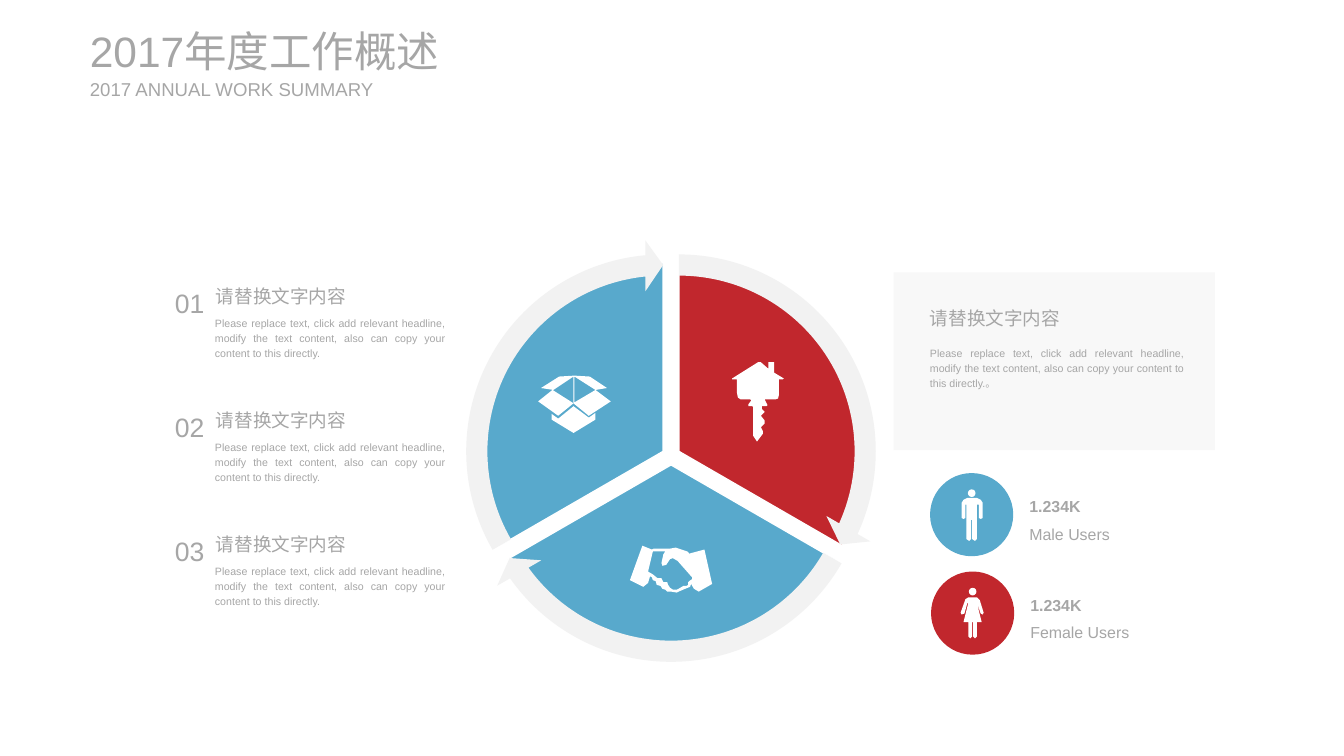
"""Build the annual work summary slide: a three-part cycle, numbered notes and user figures."""
import math
from dataclasses import dataclass

from lxml import etree
from pptx import Presentation
from pptx import util as u
from pptx.dml.color import RGBColor
from pptx.enum import shapes, text
from pptx.oxml import ns

CELL = u.Inches(0.1)
COLUMNS, ROWS = 140.6, 79.1

BLUE = RGBColor(0x58, 0xA9, 0xCC)
RED = RGBColor(0xC1, 0x27, 0x2D)
PALE = RGBColor(0xF2, 0xF2, 0xF2)
GREY = RGBColor(0xA6, 0xA6, 0xA6)
WHITE = RGBColor(0xFF, 0xFF, 0xFF)

LEFT, JUSTIFY = text.PP_ALIGN.LEFT, text.PP_ALIGN.JUSTIFY
HEADLINE = "请替换文字内容"
ADVICE = ("Please replace text, click add relevant headline, modify the text content, "
          "also can copy your content to this directly.")

Outline = list[tuple[int, int]]

HANDS: Outline = [
    (737, 575), (722, 579), (722, 580), (719, 577), (707, 573), (701, 574), (684, 574),
    (682, 575), (672, 571), (659, 607), (673, 614), (678, 610), (680, 603), (682, 604),
    (683, 607), (686, 608), (687, 612), (691, 613), (693, 616), (696, 617), (698, 619),
    (702, 619), (708, 620), (710, 619), (717, 616), (722, 614), (723, 611), (726, 616),
    (731, 619), (745, 611)]
CLASP: Outline = [
    (721, 608), (720, 609), (720, 612), (718, 613), (715, 613), (710, 616), (708, 617),
    (704, 617), (701, 615), (699, 612), (698, 609), (694, 609), (692, 605), (688, 605),
    (683, 601), (678, 598), (683, 577), (696, 577), (694, 580), (692, 589), (693, 592),
    (697, 591), (701, 585), (704, 584), (709, 587), (724, 604), (724, 606)]
BOX_LID: Outline = [
    (600, 422), (616, 435), (639, 420), (623, 408), (601, 421), (601, 394), (623, 408),
    (635, 406), (617, 394), (601, 393), (585, 394), (566, 406), (579, 408), (600, 394)]
BOX_FLAP: Outline = [(563, 420), (584, 435), (600, 422), (578, 408)]
BOX_BASE: Outline = [(600, 425), (584, 438), (577, 433), (577, 439), (600, 453),
                     (623, 439), (623, 432), (616, 437)]
HOUSE_KEY: Outline = [
    (771, 411), (771, 397), (766, 397), (766, 396), (793, 379), (796, 379), (804, 386),
    (804, 379), (810, 379), (810, 390), (820, 396), (819, 397), (815, 397), (815, 413),
    (814, 417), (811, 418), (800, 418), (803, 424), (802, 425), (797, 425), (797, 428),
    (800, 431), (796, 435), (800, 440), (800, 443), (796, 447), (798, 451), (798, 454),
    (792, 462), (788, 456), (788, 426), (787, 425), (783, 425), (783, 423), (786, 419),
    (785, 418), (775, 418), (772, 416)]
MAN: Outline = [
    (1022, 521), (1012, 521), (1008, 523), (1006, 526), (1006, 542), (1008, 543),
    (1010, 542), (1010, 528), (1011, 528), (1011, 564), (1014, 566), (1016, 564),
    (1016, 544), (1017, 544), (1017, 564), (1020, 566), (1022, 564), (1022, 528),
    (1024, 528), (1024, 542), (1026, 543), (1028, 542), (1028, 526), (1026, 523)]
WOMAN: Outline = [
    (1029, 641), (1025, 628), (1022, 625), (1013, 625), (1010, 627), (1005, 641),
    (1006, 643), (1009, 642), (1012, 631), (1013, 631), (1008, 651), (1013, 651),
    (1013, 666), (1015, 668), (1017, 666), (1017, 651), (1018, 651), (1018, 666),
    (1020, 668), (1022, 666), (1022, 651), (1027, 651), (1022, 631), (1026, 642),
    (1028, 643)]


@dataclass(frozen=True)
class Area:
    """A block of the grid, in columns and rows."""
    column: float
    row: float
    width: float
    height: float

    def lengths(self) -> list[u.Emu]:
        """Return left, top, width and height."""
        return [u.Emu(round(n * CELL)) for n in (self.column, self.row, self.width, self.height)]


@dataclass(frozen=True)
class Style:
    """The look of one paragraph."""
    size: int
    bold: bool = False
    align: text.PP_ALIGN = LEFT
    wrap: bool = False
    spacing: float = 1.2


@dataclass(frozen=True)
class Users:
    """One group of users with its badge and figure."""
    label: str
    count: str
    color: RGBColor
    figure: Outline
    column: float
    row: float
    label_width: float


HEADING = Style(14)
NUMBER = Style(20, align=JUSTIFY)
BODY = Style(8, align=JUSTIFY, wrap=True)
COUNT = Style(12, bold=True)
LABEL = Style(12)

USERS = [Users("Male Users", "1.234K", BLUE, MAN, 97.3, 49.5, 10.5),
         Users("Female Users", "1.234K", RED, WOMAN, 97.4, 59.8, 12.5)]


def write(frame, words: str, style: Style) -> None:
    """Fill a text frame with one styled paragraph."""
    frame.word_wrap = style.wrap
    line = frame.paragraphs[0]
    line.text = words
    line.alignment, line.line_spacing = style.align, style.spacing
    line.space_before = u.Pt(0)
    line.font.name, line.font.size, line.font.bold = "Arial", u.Pt(style.size), style.bold
    line.font.color.rgb = GREY


def add_text(slide, area: Area, words: str, style: Style) -> None:
    """Add a text box that grows with its text."""
    frame = slide.shapes.add_textbox(*area.lengths()).text_frame
    write(frame, words, style)
    frame.auto_size = text.MSO_AUTO_SIZE.SHAPE_TO_FIT_TEXT


def fill_heading(placeholder, area: Area, words: str, size: int) -> None:
    """Move a heading placeholder and fill it."""
    placeholder.left, placeholder.top, placeholder.width, placeholder.height = area.lengths()
    frame = placeholder.text_frame
    write(frame, words, Style(size, wrap=True, spacing=1.0))
    frame.auto_size = text.MSO_AUTO_SIZE.NONE
    frame.vertical_anchor = text.MSO_ANCHOR.MIDDLE
    frame.margin_left = frame.margin_right = frame.margin_top = frame.margin_bottom = 0


def paint(shape, color: RGBColor):
    """Give a shape a plain fill without line or shadow."""
    shape.shadow.inherit = False
    shape.fill.solid()
    shape.fill.fore_color.rgb = color
    shape.line.fill.background()
    return shape


def add_preset(slide, kind: shapes.MSO_SHAPE, area: Area, color: RGBColor):
    """Add a plain preset shape."""
    return paint(slide.shapes.add_shape(kind, *area.lengths()), color)


def add_icon(slide, *outlines: Outline) -> None:
    """Add a white icon from outlines in tenths of a cell."""
    first, *holes = outlines
    builder = slide.shapes.build_freeform(*first[0], scale=CELL / 10)
    builder.add_line_segments(first[1:])
    for hole in holes:
        builder.move_to(*hole[0])
        builder.add_line_segments(hole[1:])
    paint(builder.convert_to_shape(), WHITE)


def add_cycle_part(slide, kind: shapes.MSO_SHAPE, turn: int, size: float, color: RGBColor):
    """Add one third of the cycle, pushed outwards from its centre."""
    middle = math.radians(120 * turn - 30)
    column = 70.2 + 0.95 * math.cos(middle) - size / 2
    row = 47.7 + 0.95 * math.sin(middle) - size / 2
    return add_preset(slide, kind, Area(column, row, size, size), color)


def add_cycle(slide) -> None:
    """Draw the three sectors, the arrows around them and their icons."""
    for turn, color in enumerate((RED, BLUE, BLUE)):
        sector = add_cycle_part(slide, shapes.MSO_SHAPE.PIE, turn, 39.4, color)
        for index, angle in enumerate((270, 30)):
            sector.adjustments[index] = (angle + 120 * turn) % 360 * 0.6
        sector.line.color.rgb, sector.line.width = WHITE, u.Pt(1)
    for turn in range(3):
        arrow = add_cycle_part(slide, shapes.MSO_SHAPE.CIRCULAR_ARROW, turn, 44.3, PALE)
        tip, tail = [(angle + 120 * turn) % 360 * 0.6 for angle in (24.54, 270)]
        for index, value in enumerate((0.05, 3.28, tip, tail, 0.06)):
            arrow.adjustments[index] = value
    add_icon(slide, HANDS, CLASP)
    for outline in (BOX_LID, BOX_FLAP, BOX_BASE, HOUSE_KEY):
        add_icon(slide, outline)


def add_panel(slide) -> None:
    """Draw the half-transparent panel with its note."""
    panel = add_preset(slide, shapes.MSO_SHAPE.RECTANGLE, Area(93.5, 28.5, 33.6, 18.6), PALE)
    tint = panel.element.spPr.find(".//" + ns.qn("a:srgbClr"))
    etree.SubElement(tint, ns.qn("a:alpha"), val="50000")
    add_text(slide, Area(96.3, 31.2, 16.3, 3.6), HEADLINE, HEADING)
    add_text(slide, Area(96.3, 35.5, 28.6, 5.9), ADVICE + "。", BODY)


def add_users(slide, users: Users) -> None:
    """Draw a badge with its figure, count and label."""
    column, row = users.column, users.row
    add_preset(slide, shapes.MSO_SHAPE.OVAL, Area(column, row, 8.7, 8.7), users.color)
    add_preset(slide, shapes.MSO_SHAPE.OVAL, Area(column + 3.95, row + 1.7, 0.8, 0.8), WHITE)
    add_icon(slide, users.figure)
    add_text(slide, Area(column + 9.4, row + 1.6, 7.4, 3.2), users.count, COUNT)
    add_text(slide, Area(column + 9.4, row + 4.5, users.label_width, 3.2), users.label, LABEL)


def main() -> None:
    """Build and save the slide."""
    deck = Presentation()
    deck.slide_width, deck.slide_height = round(COLUMNS * CELL), round(ROWS * CELL)
    slide = deck.slides.add_slide(deck.slide_layouts[0])
    title, subtitle = slide.placeholders
    fill_heading(title, Area(9.4, 2.6, 43.2, 5.4), "2017年度工作概述", 32)
    fill_heading(subtitle, Area(9.4, 8.1, 30.7, 2.4), "2017 ANNUAL WORK SUMMARY", 14)
    for index, number in enumerate(("01", "02", "03")):
        row = 28.9 + 12.95 * index
        add_text(slide, Area(17.3, row, 5.1, 4.7), number, NUMBER)
        add_text(slide, Area(21.6, row, 16.3, 3.6), HEADLINE, HEADING)
        add_text(slide, Area(21.5, row + 3.5, 26.1, 5.7), ADVICE, BODY)
    add_cycle(slide)
    add_panel(slide)
    for users in USERS:
        add_users(slide, users)
    deck.save("out.pptx")


if __name__ == "__main__":
    main()
